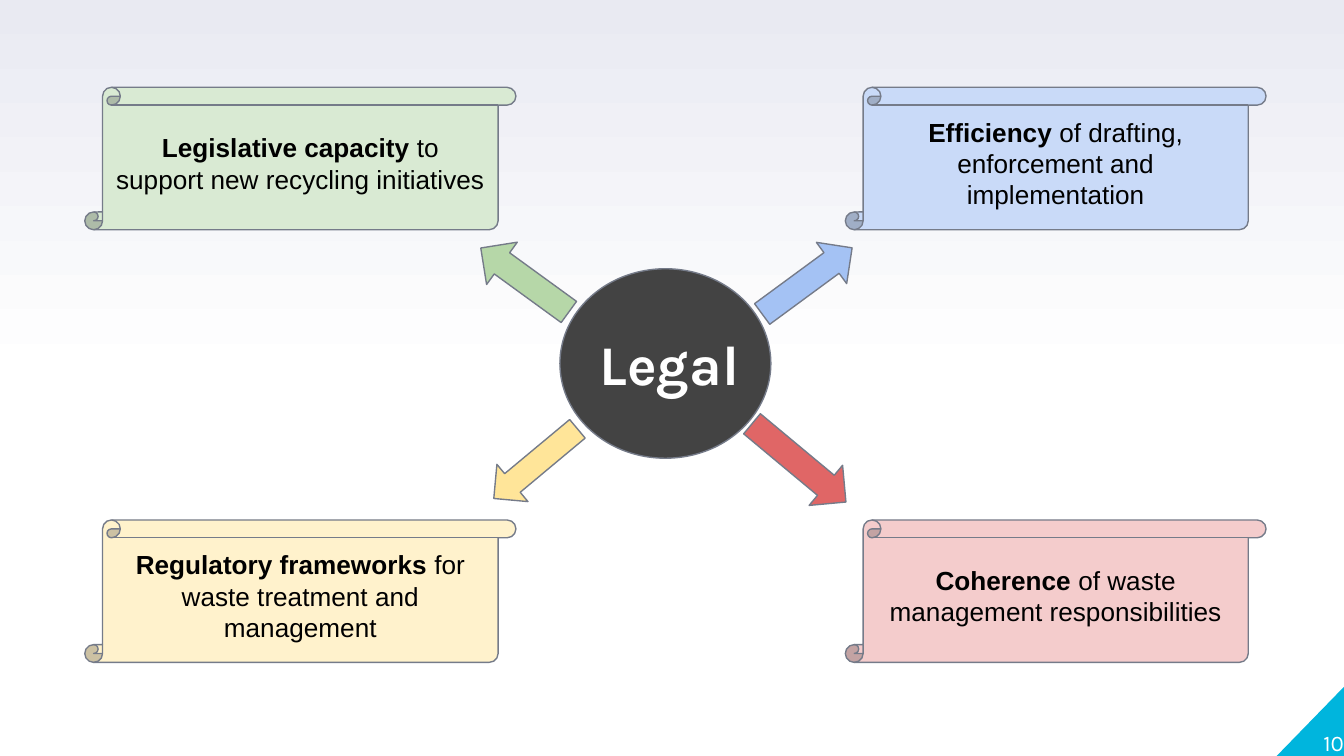
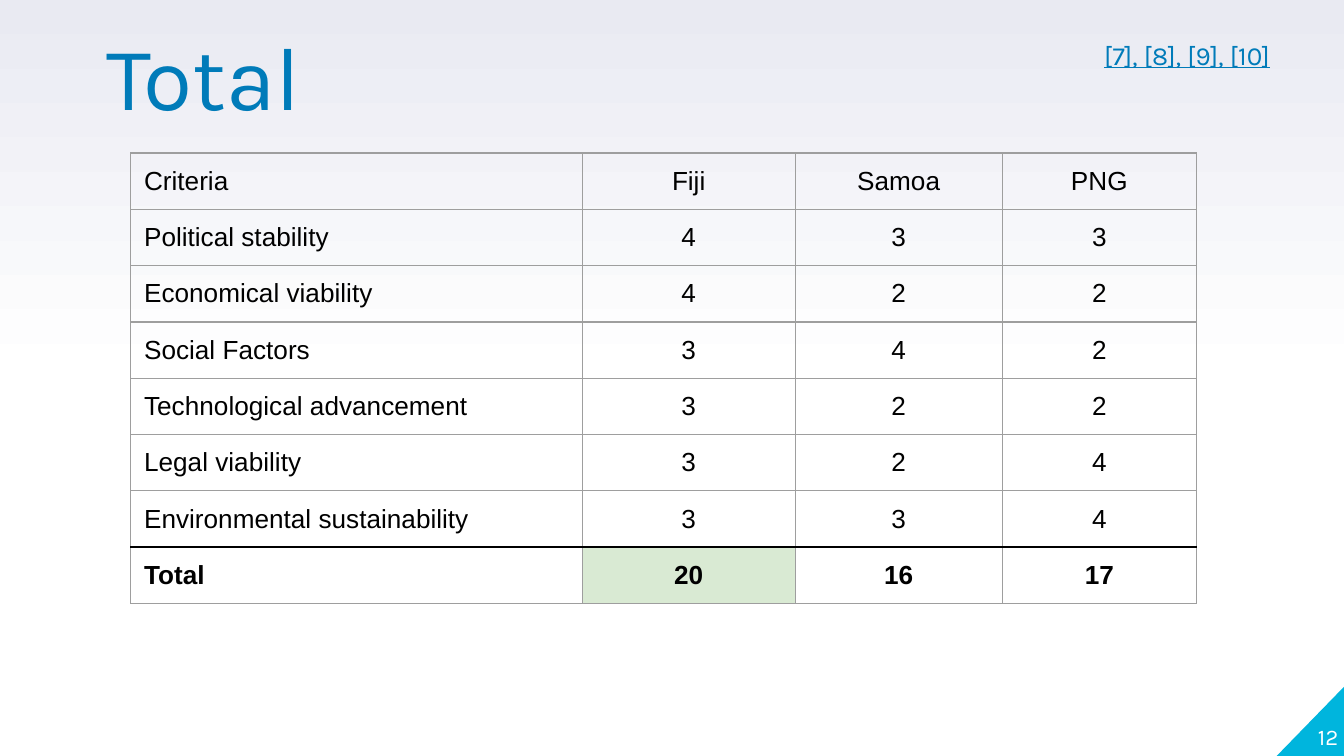
from dataclasses import dataclass
from typing import NamedTuple

from lxml import etree
from pptx import Presentation
from pptx.dml.color import RGBColor
from pptx.enum.shapes import MSO_SHAPE
from pptx.enum.text import MSO_ANCHOR, MSO_AUTO_SIZE, PP_ALIGN
from pptx.oxml.ns import qn
from pptx.util import Pt

TRIANGLE = MSO_SHAPE.RIGHT_TRIANGLE
OVAL = MSO_SHAPE.OVAL
ARROW = MSO_SHAPE.LEFT_ARROW
SCROLL = MSO_SHAPE.VERTICAL_SCROLL
LEFT, CENTER, RIGHT = PP_ALIGN.LEFT, PP_ALIGN.CENTER, PP_ALIGN.RIGHT
TOP, MIDDLE, BOTTOM = MSO_ANCHOR.TOP, MSO_ANCHOR.MIDDLE, MSO_ANCHOR.BOTTOM
NO_AUTOFIT = MSO_AUTO_SIZE.NONE
TITLE_ONLY = 5


@dataclass(frozen=True)
class Theme:
    display: str = "Karla"
    body: str = "Arial"
    white: str = "FFFFFF"
    black: str = "000000"
    haze: str = "E9EAF2"
    corner: str = "00B5DD"
    accent: str = "007BB9"
    hub: str = "434343"
    outline: str = "757B89"
    grid: str = "9E9E9E"
    winner: str = "D9EAD3"
    title_size: int = 48
    hub_size: int = 30
    text_size: int = 14
    number_size: int = 12
    line_width: float = 0.75
    total_width: float = 1.5
    inset: float = 7.2


THEME = Theme()


class Box(NamedTuple):
    left: float
    top: float
    width: float
    height: float


class Style(NamedTuple):
    font: str
    size: int
    color: str
    bold: bool = False
    underline: bool = False


class Factor(NamedTuple):
    lead: str
    rest: str
    scroll: Box
    fill: str
    arrow: Box
    rotation: float
    arrow_fill: str


BODY = Style(THEME.body, THEME.text_size, THEME.black)
BODY_BOLD = BODY._replace(bold=True)
TITLE = Style(THEME.display, THEME.title_size, THEME.accent)
HUB = Style(THEME.display, THEME.hub_size, THEME.white, bold=True)
NUMBER = Style(THEME.display, THEME.number_size, THEME.white)
REFERENCE = Style(THEME.display, THEME.text_size, THEME.accent, underline=True)

SCROLL_LEFT, SCROLL_RIGHT = 45.4, 452.9
SCROLL_TOP, SCROLL_BOTTOM = 46.8, 278.6
LEFT_WIDTH, RIGHT_WIDTH, SCROLL_HEIGHT = 231, 225.4, 76.3

FACTORS = [
    Factor("Legislative capacity", " to support new recycling initiatives",
           Box(SCROLL_LEFT, SCROLL_TOP, LEFT_WIDTH, SCROLL_HEIGHT), "D9EAD3",
           Box(252, 136, 58.3, 28), 36, "B6D7A8"),
    Factor("Regulatory frameworks", " for waste treatment and management",
           Box(SCROLL_LEFT, SCROLL_BOTTOM, LEFT_WIDTH, SCROLL_HEIGHT), "FFF2CC",
           Box(257.8, 235.4, 58.3, 26), 320.2, "FFE599"),
    Factor("Efficiency", " of drafting, enforcement and implementation",
           Box(SCROLL_RIGHT, SCROLL_TOP, RIGHT_WIDTH, SCROLL_HEIGHT), "C9DAF8",
           Box(402.5, 136.8, 59.8, 27.4), 143.7, "A4C2F4"),
    Factor("Coherence", " of waste management responsibilities",
           Box(SCROLL_RIGHT, SCROLL_BOTTOM, RIGHT_WIDTH, SCROLL_HEIGHT), "F4CCCC",
           Box(395.3, 234, 65.5, 28), 219.8, "E06666"),
]

SCORES = [
    ("Criteria", "Fiji", "Samoa", "PNG"),
    ("Political stability", "4", "3", "3"),
    ("Economical viability", "4", "2", "2"),
    ("Social Factors", "3", "4", "2"),
    ("Technological advancement", "3", "2", "2"),
    ("Legal viability", "3", "2", "4"),
    ("Environmental sustainability", "3", "3", "4"),
    ("Total", "20", "16", "17"),
]
COLUMN_WIDTHS = (242, 114, 111, 104)
ROW_HEIGHT = 30


def rgb(color: str) -> RGBColor:
    return RGBColor.from_string(color)


def points(box: Box) -> list:
    return [Pt(v) for v in box]


def format_run(r, style: Style) -> None:
    font = r.font
    font.name, font.size = style.font, Pt(style.size)
    font.bold, font.underline = style.bold, style.underline
    font.color.rgb = rgb(style.color)


def write(tf, text: str, style: Style, align=LEFT, anchor=TOP,
          inset: float = THEME.inset) -> None:
    tf.text = text
    tf.word_wrap = True
    tf.auto_size = NO_AUTOFIT
    tf.vertical_anchor = anchor
    tf.margin_left = tf.margin_right = Pt(inset)
    tf.margin_top = tf.margin_bottom = Pt(inset)
    p = tf.paragraphs[0]
    p.alignment = align
    format_run(p.runs[0], style)


def add_text(slide, box: Box, text: str, style: Style, align=LEFT, anchor=TOP,
             inset: float = THEME.inset) -> None:
    sp = slide.shapes.add_textbox(*points(box))
    write(sp.text_frame, text, style, align, anchor, inset)


def add_figure(slide, kind, box: Box, fill: str, outlined: bool = True,
               rotation: float = 0):
    sp = slide.shapes.add_shape(kind, *points(box))
    sp.shadow.inherit = False
    sp.rotation = rotation
    sp.fill.solid()
    sp.fill.fore_color.rgb = rgb(fill)
    if outlined:
        sp.line.color.rgb = rgb(THEME.outline)
        sp.line.width = Pt(THEME.line_width)
    else:
        sp.line.fill.background()
    return sp


def place_title(slide, box: Box, text: str, style: Style):
    sp = slide.shapes.title
    sp.left, sp.top, sp.width, sp.height = points(box)
    write(sp.text_frame, text, style)
    slide.shapes._spTree.append(sp._element)
    return sp


def set_background(master) -> None:
    fill = master.background.fill
    fill.gradient()
    fill.gradient_angle = 90
    stops = next(master.element.cSld.iter(qn("a:gsLst")))
    for gs in list(stops):
        stops.remove(gs)
    for percent, color in ((0, THEME.white), (50, THEME.white), (100, THEME.haze)):
        gs = etree.SubElement(stops, qn("a:gs"), pos=str(percent * 1000))
        etree.SubElement(gs, qn("a:srgbClr"), val=color)


def add_slide(prs, number: str, offset: float = 0):
    slide = prs.slides.add_slide(prs.slide_layouts[TITLE_ONLY])
    corner = Box(684, 368, 36, 37)
    sp = add_figure(slide, TRIANGLE, corner, THEME.corner, outlined=False)
    sp._element.spPr.xfrm.set("flipH", "1")
    box = corner._replace(left=corner.left - offset, top=corner.top - offset)
    add_text(slide, box, number, NUMBER, RIGHT, BOTTOM, inset=0)
    return slide


def add_factor(slide, factor: Factor) -> None:
    add_figure(slide, ARROW, factor.arrow, factor.arrow_fill,
               rotation=factor.rotation)
    sp = add_figure(slide, SCROLL, factor.scroll, factor.fill)
    write(sp.text_frame, factor.lead, BODY_BOLD, CENTER, MIDDLE)
    r = sp.text_frame.paragraphs[0].add_run()
    r.text = factor.rest
    format_run(r, BODY)


def set_border(cell, side: str, color: str, width: float) -> None:
    ln = etree.SubElement(cell._tc.get_or_add_tcPr(), qn(f"a:ln{side}"),
                          w=str(Pt(width)))
    fill = etree.SubElement(ln, qn("a:solidFill"))
    etree.SubElement(fill, qn("a:srgbClr"), val=color)


def format_cell(cell, text: str, row: int, col: int) -> None:
    total = len(SCORES) - 1
    cell.text = text
    cell.margin_left = cell.margin_right = Pt(THEME.inset)
    cell.margin_top = cell.margin_bottom = Pt(THEME.inset)
    p = cell.text_frame.paragraphs[0]
    p.alignment = CENTER if col else LEFT
    format_run(p.runs[0], BODY_BOLD if row == total else BODY)
    heavy = {(total - 1, "B"), (total, "T")}
    for side in "LRTB":
        if (row, side) in heavy:
            set_border(cell, side, THEME.black, THEME.total_width)
        else:
            set_border(cell, side, THEME.grid, THEME.line_width)
    if (row, col) == (total, 1):
        cell.fill.solid()
        cell.fill.fore_color.rgb = rgb(THEME.winner)
    else:
        cell.fill.background()


def add_scores(slide, left: float, top: float) -> None:
    box = Box(left, top, sum(COLUMN_WIDTHS), ROW_HEIGHT * len(SCORES))
    table = slide.shapes.add_table(len(SCORES), len(COLUMN_WIDTHS),
                                   *points(box)).table
    table.first_row = table.horz_banding = False
    for column, width in zip(table.columns, COLUMN_WIDTHS):
        column.width = Pt(width)
    for row, values in enumerate(SCORES):
        table.rows[row].height = Pt(ROW_HEIGHT)
        for col, text in enumerate(values):
            format_cell(table.cell(row, col), text, row, col)


def build_legal(prs) -> None:
    slide = add_slide(prs, "10")
    add_figure(slide, OVAL, Box(300, 144, 113, 101.5), THEME.hub)
    place_title(slide, Box(314, 169.2, 93, 51), "Legal", HUB)
    for factor in FACTORS:
        add_factor(slide, factor)


def build_total(prs) -> None:
    slide = add_slide(prs, "12", offset=3)
    add_scores(slide, 70, 82)
    sp = place_title(slide, Box(49.7, 15, 487.4, 36.7), "Total", TITLE)
    sp.text_frame.paragraphs[0].line_spacing = 0.8
    add_text(slide, Box(564.5, 13.7, 123, 31.7), "[7], [8], [9], [10]",
             REFERENCE, RIGHT)


def main() -> None:
    prs = Presentation()
    prs.slide_width, prs.slide_height = Pt(720), Pt(405)
    set_background(prs.slide_master)
    build_legal(prs)
    build_total(prs)
    prs.save("out.pptx")


if __name__ == "__main__":
    main()
